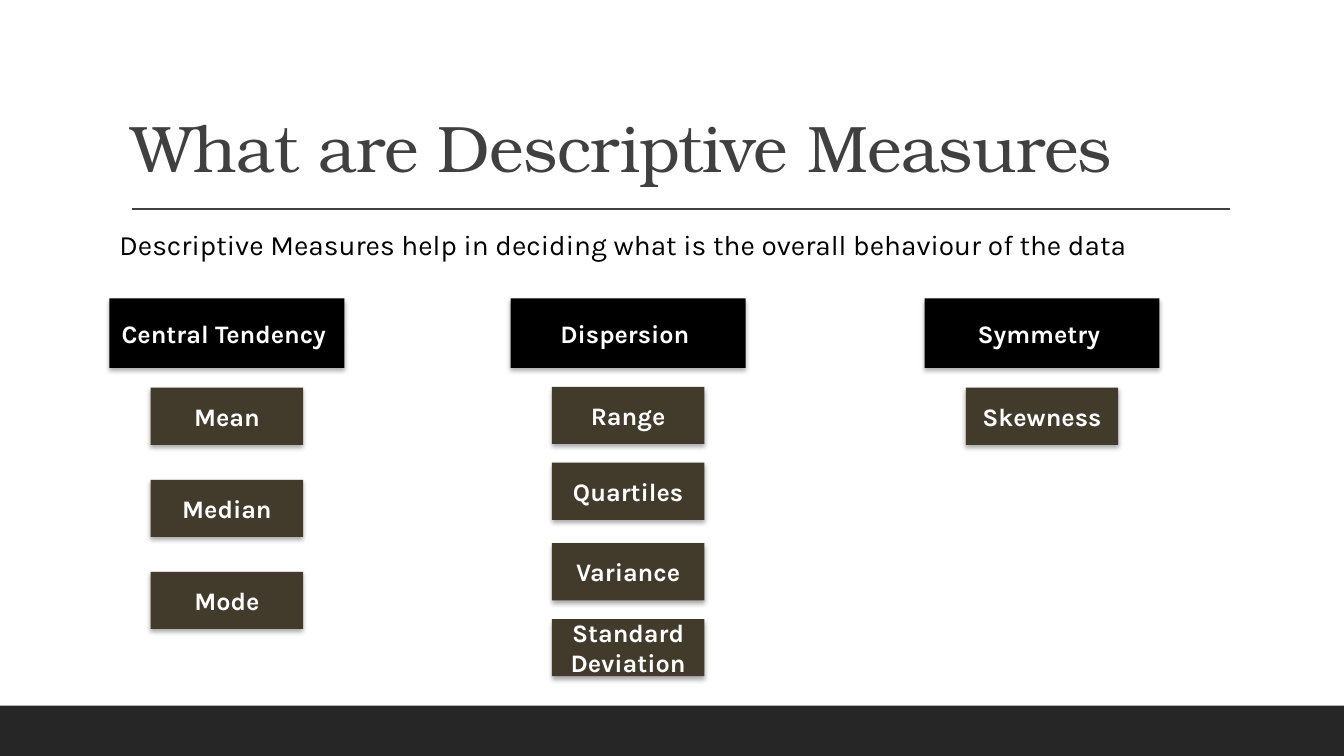
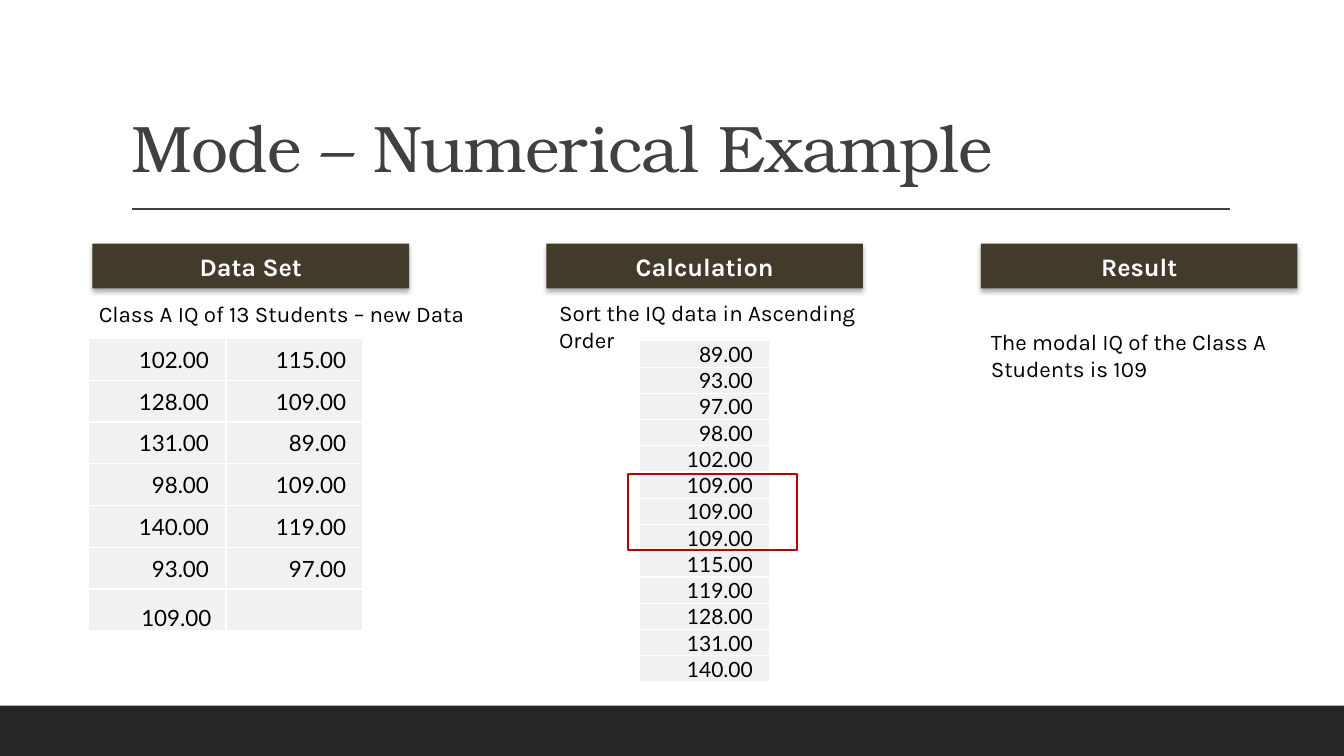
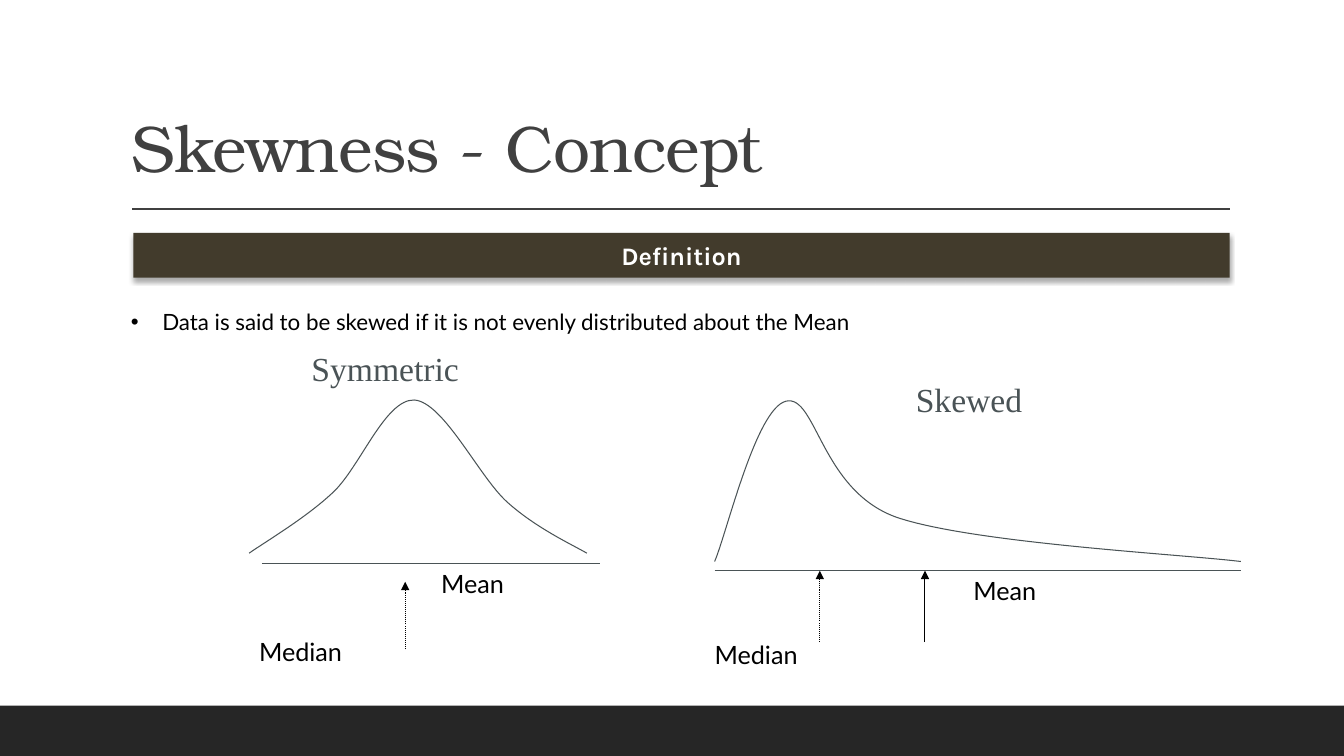
from dataclasses import dataclass
from itertools import chain

from lxml.etree import SubElement
from pptx import Presentation
from pptx.dml.color import RGBColor
from pptx.enum.dml import MSO_LINE
from pptx.enum.shapes import MSO_CONNECTOR, MSO_SHAPE
from pptx.enum.text import MSO_ANCHOR, PP_ALIGN
from pptx.oxml.ns import qn
from pptx.util import Cm, Pt

BLACK = RGBColor(0x00, 0x00, 0x00)
WHITE = RGBColor(0xFF, 0xFF, 0xFF)
BAND = RGBColor(0x26, 0x26, 0x26)
TITLE = RGBColor(0x40, 0x40, 0x40)
BROWN = RGBColor(0x42, 0x3B, 0x2C)
SLATE = RGBColor(0x4A, 0x53, 0x56)
CELL = RGBColor(0xEF, 0xF1, 0xF3)
RED = RGBColor(0xC0, 0x00, 0x00)

TITLE_FONT = "TeX Gyre Bonum"
BODY_FONT = "Karla"
LATIN_FONT = "Lato"
SERIF_FONT = "Times New Roman"

SLIDE_WIDTH, SLIDE_HEIGHT = 33.87, 19.05
BAND_HEIGHT = 1.27


@dataclass(frozen=True)
class Box:
    """A rectangle in centimetres."""
    left: float
    top: float
    width: float
    height: float

    def lengths(self):
        return Cm(self.left), Cm(self.top), Cm(self.width), Cm(self.height)


@dataclass(frozen=True)
class MeasureGroup:
    """A heading and its measures, each with its top edge in centimetres."""
    name: str
    left: float
    measures: dict[str, float]


@dataclass(frozen=True)
class Label:
    text: str
    box: Box
    font: str = LATIN_FONT
    size: float = 18
    colour: RGBColor = BLACK


@dataclass(frozen=True)
class Line:
    start: tuple[float, float]
    end: tuple[float, float]
    colour: RGBColor = SLATE
    width: float = 0.75
    dotted: bool = False
    arrow: bool = False


@dataclass(frozen=True)
class Distribution:
    """A curve (start point, then three points per Bezier piece) with its marks."""
    curve: tuple[tuple[float, float], ...]
    lines: tuple[Line, ...]
    labels: tuple[Label, ...]


GROUPS = (
    MeasureGroup("Central Tendency ", 2.76,
                 {"Mean": 9.77, "Median": 12.09, "Mode": 14.41}),
    MeasureGroup("Dispersion ", 12.87,
                 {"Range": 9.75, "Quartiles": 11.66, "Variance": 13.69,
                  "Standard Deviation": 15.6}),
    MeasureGroup("Symmetry ", 23.3, {"Skewness": 9.77}),
)

IQ_ROWS = ((102, 115), (128, 109), (131, 89), (98, 109),
           (140, 119), (93, 97), (109, None))

SYMMETRIC = Distribution(
    curve=((6.28, 13.94), (6.63, 13.69), (7.7, 13.06), (8.38, 12.42),
           (9.07, 11.79), (9.7, 10.06), (10.44, 10.08),
           (11.18, 10.13), (12.07, 12.01), (12.78, 12.65),
           (13.51, 13.31), (14.45, 13.74), (14.79, 13.94)),
    lines=(Line((10.21, 16.36), (10.21, 14.66), BLACK, dotted=True, arrow=True),
           Line((6.6, 14.19), (15.11, 14.19))),
    labels=(Label("Mean", Box(10.87, 14.2, 5.23, 1.17)),
            Label("Median", Box(6.28, 15.92, 5.56, 1.17)),
            Label("Symmetric", Box(7.6, 8.64, 8.18, 1.45), SERIF_FONT, 24, SLATE)),
)

SKEWED = Distribution(
    curve=((18.01, 14.15), (18.31, 13.46), (19.05, 10.29), (19.81, 10.11),
           (20.57, 9.93), (20.68, 12.34), (22.58, 13.03),
           (24.49, 13.69), (29.82, 13.97), (31.27, 14.15)),
    lines=(Line((18.01, 14.38), (31.27, 14.38)),
           Line((23.31, 16.18), (23.31, 14.38), BLACK, arrow=True),
           Line((20.66, 16.18), (20.66, 14.38), BLACK, dotted=True, arrow=True)),
    labels=(Label("Mean", Box(24.28, 14.38, 3.86, 1.09)),
            Label("Median", Box(17.76, 15.99, 4.09, 1.09)),
            Label("Skewed", Box(22.83, 9.42, 6.02, 1.35), SERIF_FONT, 24, SLATE)),
)


def write_text(frame, text: str, *, font: str = BODY_FONT, size: float = 18,
               colour: RGBColor = BLACK, bold: bool = False,
               align: PP_ALIGN = PP_ALIGN.LEFT, line_spacing: float | None = None,
               tracking: float = 0, bullet_indent: float = 0) -> None:
    """Write one formatted paragraph; tracking is in points, the indent in cm."""
    paragraph = frame.paragraphs[0]
    paragraph.alignment = align
    if line_spacing:
        paragraph.line_spacing = line_spacing
    run = paragraph.add_run()
    run.text = text
    run.font.name = font
    run.font.size = Pt(size)
    run.font.bold = bold
    run.font.color.rgb = colour
    if tracking:
        run._r.get_or_add_rPr().set("spc", str(round(tracking * 100)))
    if bullet_indent:
        properties = paragraph._p.get_or_add_pPr()
        properties.set("marL", str(Cm(bullet_indent)))
        properties.set("indent", str(-Cm(bullet_indent)))
        SubElement(properties, qn("a:buFont"), typeface="Arial")
        SubElement(properties, qn("a:buChar"), char="•")


def add_text(slide, box: Box, text: str, *,
             anchor: MSO_ANCHOR = MSO_ANCHOR.TOP, **text_format) -> None:
    frame = slide.shapes.add_textbox(*box.lengths()).text_frame
    frame.word_wrap = True
    frame.vertical_anchor = anchor
    write_text(frame, text, **text_format)


def add_rectangle(slide, box: Box, *, fill: RGBColor | None = None,
                  outline: RGBColor | None = None):
    shape = slide.shapes.add_shape(MSO_SHAPE.RECTANGLE, *box.lengths())
    shape.shadow.inherit = False
    if fill is None:
        shape.fill.background()
    else:
        shape.fill.solid()
        shape.fill.fore_color.rgb = fill
    if outline is None:
        shape.line.fill.background()
    else:
        shape.line.color.rgb = outline
        shape.line.width = Pt(1.25)
    return shape


def add_tile(slide, box: Box, text: str, fill: RGBColor = BROWN) -> None:
    """Add a shadowed rectangle with a bold white caption."""
    shape = add_rectangle(slide, box, fill=fill)
    effects = shape._element.spPr.find(qn("a:effectLst"))
    shadow = SubElement(effects, qn("a:outerShdw"), blurRad=str(Pt(3.5)),
                        dist=str(Pt(2.2)), dir="5400000", rotWithShape="0")
    shade = SubElement(shadow, qn("a:srgbClr"), val=str(BLACK))
    SubElement(shade, qn("a:alpha"), val="32000")
    frame = shape.text_frame
    frame.word_wrap = True
    frame.vertical_anchor = MSO_ANCHOR.MIDDLE
    write_text(frame, text, colour=WHITE, bold=True, align=PP_ALIGN.CENTER)


def add_line(slide, line: Line):
    ends = [Cm(value) for value in (*line.start, *line.end)]
    connector = slide.shapes.add_connector(MSO_CONNECTOR.STRAIGHT, *ends)
    connector.line.color.rgb = line.colour
    connector.line.width = Pt(line.width)
    if line.dotted:
        connector.line.dash_style = MSO_LINE.ROUND_DOT
    properties = connector._element.spPr
    if line.arrow:
        SubElement(properties.find(qn("a:ln")), qn("a:tailEnd"), type="triangle")
    SubElement(properties, qn("a:effectLst"))
    return connector


def add_curve(slide, points: tuple[tuple[float, float], ...]) -> None:
    """Add a freeform whose segments are joined in threes into Bezier pieces."""
    start, *controls = [(Cm(x), Cm(y)) for x, y in points]
    builder = slide.shapes.build_freeform(*start)
    builder.add_line_segments(controls, close=False)
    curve = builder.convert_to_shape()
    curve.shadow.inherit = False
    curve.fill.background()
    curve.line.color.rgb = SLATE
    curve.line.width = Pt(0.75)
    outline = next(curve._element.iter(qn("a:path")))
    segments = outline.findall(qn("a:lnTo"))
    for first in range(0, len(segments), 3):
        piece = SubElement(outline, qn("a:cubicBezTo"))
        for segment in segments[first:first + 3]:
            piece.append(segment[0])
            outline.remove(segment)


def add_distribution(slide, distribution: Distribution) -> None:
    add_curve(slide, distribution.curve)
    for line in distribution.lines:
        add_line(slide, line)
    for label in distribution.labels:
        add_text(slide, label.box, label.text, font=label.font,
                 size=label.size, colour=label.colour)


def add_cell_borders(cell) -> None:
    properties = cell._tc.get_or_add_tcPr()
    for side in ("a:lnL", "a:lnR", "a:lnT", "a:lnB"):
        border = SubElement(properties, qn(side), w=str(Pt(1)))
        fill = SubElement(border, qn("a:solidFill"))
        SubElement(fill, qn("a:srgbClr"), val=str(WHITE))


def add_number_table(slide, box: Box, rows, size: float):
    frame = slide.shapes.add_table(len(rows), len(rows[0]), *box.lengths())
    table = frame.table
    table.first_row = False
    table.horz_banding = False
    for row in table.rows:
        row.height = Cm(box.height / len(rows))
    for cell, value in zip(table.iter_cells(), chain.from_iterable(rows)):
        add_cell_borders(cell)
        cell.fill.solid()
        cell.fill.fore_color.rgb = CELL
        cell.vertical_anchor = MSO_ANCHOR.MIDDLE
        cell.margin_left = cell.margin_top = Cm(0.02)
        cell.margin_bottom = Cm(0)
        cell.margin_right = Cm(0.43)
        if value is not None:
            write_text(cell.text_frame, f"{value:.2f}", font=LATIN_FONT,
                       size=size, align=PP_ALIGN.RIGHT)
    return table


def furnish_layout(layout, slide) -> None:
    """Draw the footer band and title rule, then move them to the layout."""
    band = add_rectangle(
        slide, Box(0, SLIDE_HEIGHT - BAND_HEIGHT, SLIDE_WIDTH, BAND_HEIGHT), fill=BAND)
    rule = add_line(slide, Line((3.33, 5.27), (31, 5.27), TITLE, 1))
    for shape in (band, rule):
        layout.shapes._spTree.append(shape._element)


def add_title(slide, title: str) -> None:
    add_text(slide, Box(3.06, 0.79, 27.94, 4.04), title, anchor=MSO_ANCHOR.BOTTOM,
             font=TITLE_FONT, size=47, colour=TITLE, line_spacing=0.9, tracking=-0.5)


def build_measures_slide(slide) -> None:
    add_title(slide, "What are Descriptive Measures")
    add_text(slide, Box(2.76, 5.61, 29.44, 1.12),
             "Descriptive Measures help in deciding what is the overall "
             "behaviour of the data", size=20)
    header_width, measure_width = 5.92, 3.84
    for group in GROUPS:
        add_tile(slide, Box(group.left, 7.52, header_width, 1.75), group.name, BLACK)
    for group in GROUPS:
        measure_left = group.left + (header_width - measure_width) / 2
        for measure, top in group.measures.items():
            add_tile(slide, Box(measure_left, top, measure_width, 1.44), measure)


def build_mode_slide(slide) -> None:
    add_title(slide, "Mode – Numerical Example")
    for heading, left in (("Data Set", 2.33), ("Calculation", 13.77), ("Result", 24.72)):
        add_tile(slide, Box(left, 6.14, 7.98, 1.13), heading)
    for text, box in (
        ("The modal IQ of the Class A Students is 109", Box(24.72, 8.14, 7.98, 2.31)),
        ("Sort the IQ data in Ascending Order", Box(13.84, 7.42, 7.98, 1.63)),
        ("Class A IQ of 13 Students – new Data", Box(2.24, 7.44, 9.8, 0.94)),
    ):
        add_text(slide, box, text, size=16)

    data_table = add_number_table(slide, Box(2.24, 8.53, 6.91, 7.37), IQ_ROWS, 16)
    last_score = data_table.cell(len(IQ_ROWS) - 1, 0)
    last_score.vertical_anchor = MSO_ANCHOR.BOTTOM
    last_score.margin_right = Cm(0.37)
    scores = sorted(score for score in chain.from_iterable(IQ_ROWS) if score is not None)
    add_number_table(slide, Box(16.12, 8.59, 3.28, 8.6),
                     [(score,) for score in scores], 15)
    add_rectangle(slide, Box(15.82, 11.94, 4.27, 1.93), outline=RED)


def build_skewness_slide(slide) -> None:
    add_title(slide, "Skewness - Concept")
    add_tile(slide, Box(3.36, 5.87, 27.63, 1.13), "Definition")
    add_text(slide, Box(3.05, 7.65, 27.94, 1.63),
             "Data is said to be skewed if it is not evenly distributed about the Mean",
             font=LATIN_FONT, size=16, bullet_indent=0.79)
    for distribution in (SYMMETRIC, SKEWED):
        add_distribution(slide, distribution)


def main() -> None:
    presentation = Presentation()
    presentation.slide_width = Cm(SLIDE_WIDTH)
    presentation.slide_height = Cm(SLIDE_HEIGHT)
    layout = presentation.slide_layouts[6]
    builders = (build_measures_slide, build_mode_slide, build_skewness_slide)
    slides = [presentation.slides.add_slide(layout) for _ in builders]
    furnish_layout(layout, slides[0])
    for build, slide in zip(builders, slides):
        build(slide)
    presentation.save("out.pptx")


if __name__ == "__main__":
    main()
